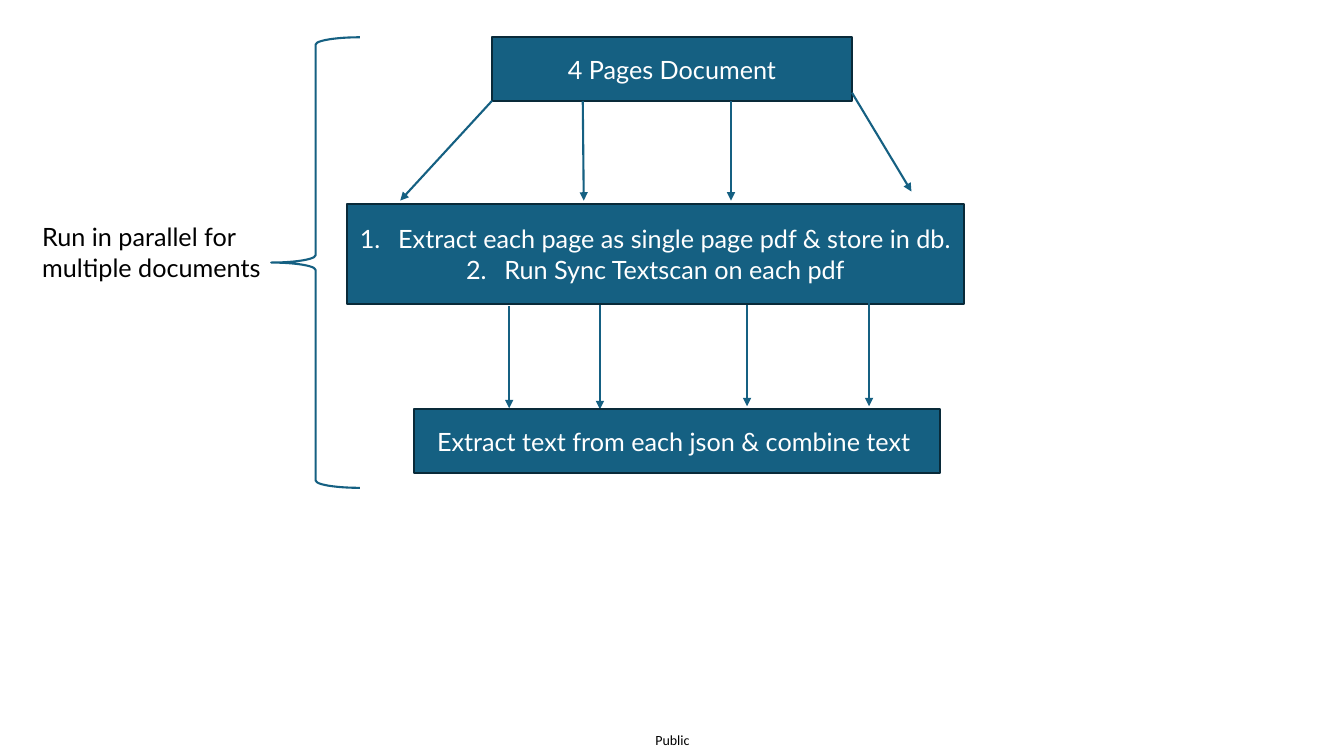
from dataclasses import dataclass

from lxml.etree import SubElement as Sub
from pptx import Presentation as Deck
from pptx.dml.color import RGBColor as Rgb
from pptx.enum.shapes import MSO_CONNECTOR as Conn, MSO_SHAPE as Kind
from pptx.enum.text import MSO_ANCHOR as Anchor, PP_ALIGN as Align
from pptx.oxml.ns import qn
from pptx.util import Pt

PX = 9144


@dataclass(frozen=True)
class Theme:
    fill: str = "156082"
    edge: str = "092A39"
    light: str = "FFFFFF"
    dark: str = "000000"
    font: str = "Lato"
    small: str = "Calibri"
    body: int = 18
    note: int = 10
    line: float = 1.5


class Page:
    """Draws styled elements on one slide, with lengths in px."""

    def __init__(self, deck, theme):
        self.theme = theme
        self.slide = deck.slides.add_slide(deck.slide_layouts[6])
        self.shapes = self.slide.shapes

    def put(self, item, **vals):
        for name, val in vals.items():
            setattr(item, name, val)

    def ink(self, line, color):
        line.color.rgb = Rgb.from_string(color)
        line.width = Pt(self.theme.line)

    def text(self, frame, rows, color, size, font, align):
        for i, row in enumerate(rows):
            para = frame.paragraphs[0] if i == 0 else frame.add_paragraph()
            para.alignment = align
            run = para.add_run()
            run.text = row
            self.put(run.font, name=font, size=Pt(size))
            run.font.color.rgb = Rgb.from_string(color)

    def count(self, frame, step):
        for para in frame.paragraphs:
            props = para._p.get_or_add_pPr()
            props.set("marL", str(step * PX))
            props.set("indent", str(-step * PX))
            Sub(props, qn("a:buFont"), typeface="+mj-lt")
            Sub(props, qn("a:buAutoNum"), type="arabicPeriod")

    def shape(self, kind, spot, edge):
        item = self.shapes.add_shape(kind, *(n * PX for n in spot))
        item.shadow.inherit = False
        self.ink(item.line, edge)
        return item

    def box(self, spot, *rows):
        look = self.theme
        item = self.shape(Kind.RECTANGLE, spot, look.edge)
        item.fill.solid()
        item.fill.fore_color.rgb = Rgb.from_string(look.fill)
        frame = item.text_frame
        self.put(frame, word_wrap=True, vertical_anchor=Anchor.MIDDLE)
        self.text(frame, rows, look.light, look.body, look.font, Align.CENTER)
        if len(rows) > 1:
            self.count(frame, 38)

    def brace(self, spot):
        item = self.shape(Kind.LEFT_BRACE, spot, self.theme.fill)
        item.fill.background()

    def arrow(self, *ends):
        item = self.shapes.add_connector(Conn.STRAIGHT, *(n * PX for n in ends))
        self.ink(item.line, self.theme.fill)
        props = item._element.spPr
        Sub(props.get_or_add_ln(), qn("a:tailEnd"), type="triangle")
        Sub(props, qn("a:effectLst"))

    def label(self, spot, text, size, font, **form):
        frame = self.shapes.add_textbox(*(n * PX for n in spot)).text_frame
        self.put(frame, **form)
        self.text(frame, [text], self.theme.dark, size, font, Align.LEFT)


def main():
    deck = Deck()
    deck.slide_width, deck.slide_height = 1333 * PX, 750 * PX
    look = Theme()
    page = Page(deck, look)
    sides = ("left", "right", "top", "bottom")
    flush = {f"margin_{side}": 0 for side in sides}
    page.label((650, 726, 37, 17), "Public", look.note, look.small,
               word_wrap=False, **flush)
    page.box((488, 37, 357, 63), "4 Pages Document")
    for ends in ((488, 100, 397, 199), (578, 100, 579, 199),
                 (725, 100, 725, 199), (845, 92, 904, 190)):
        page.arrow(*ends)
    page.box((344, 202, 612, 100),
             "Extract each page as single page pdf & store in db.",
             "Run Sync Textscan on each pdf")
    for x, top, end in ((505, 304, 405), (595, 303, 406),
                        (741, 303, 403), (862, 296, 403)):
        page.arrow(x, top, x, end)
    page.box((411, 406, 521, 63), "Extract text from each json & combine text ")
    page.brace((269, 37, 88, 447))
    page.label((32, 215, 237, 101), "Run in parallel for multiple documents",
               look.body, look.font, word_wrap=True)
    deck.save("out.pptx")


if __name__ == "__main__":
    main()
